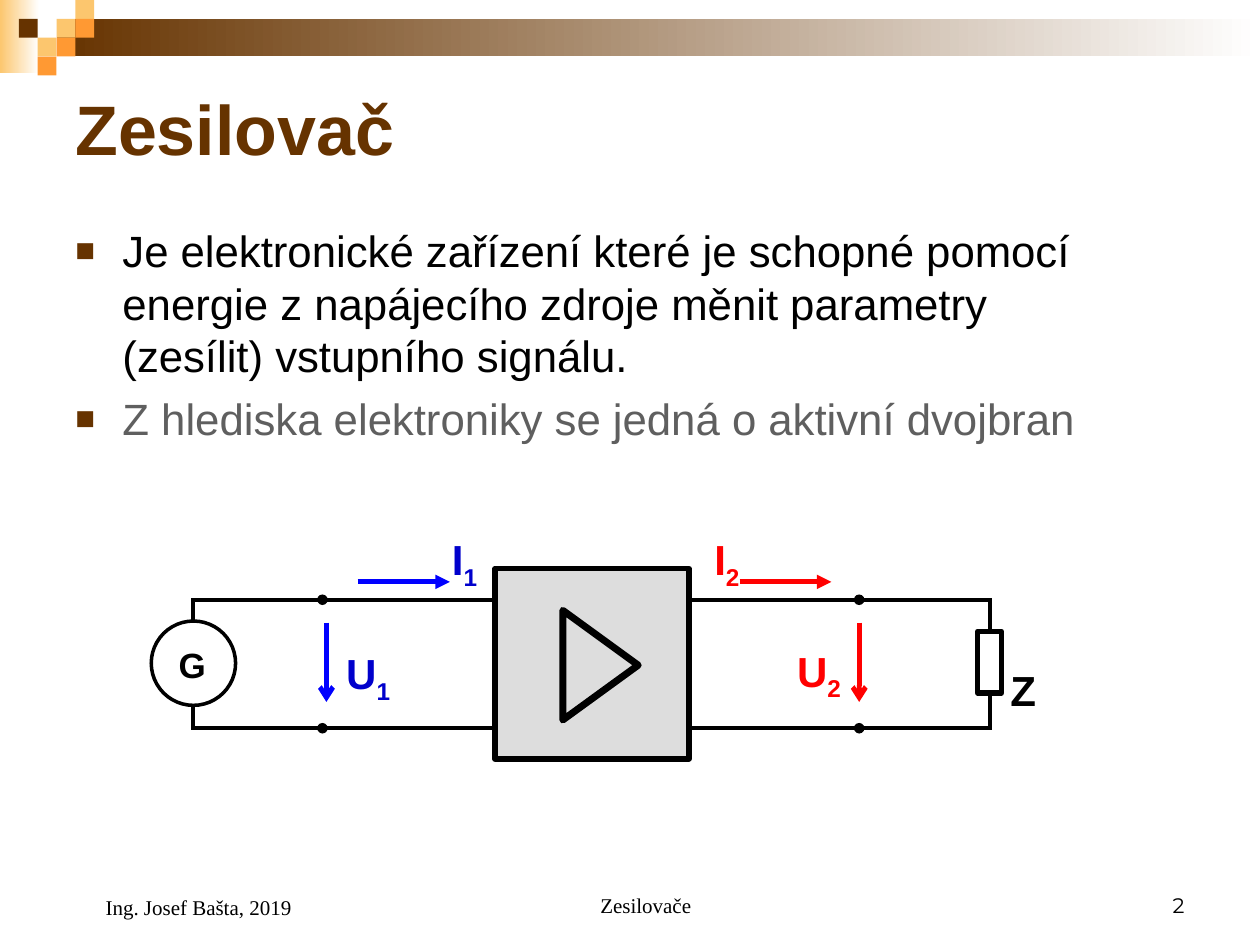
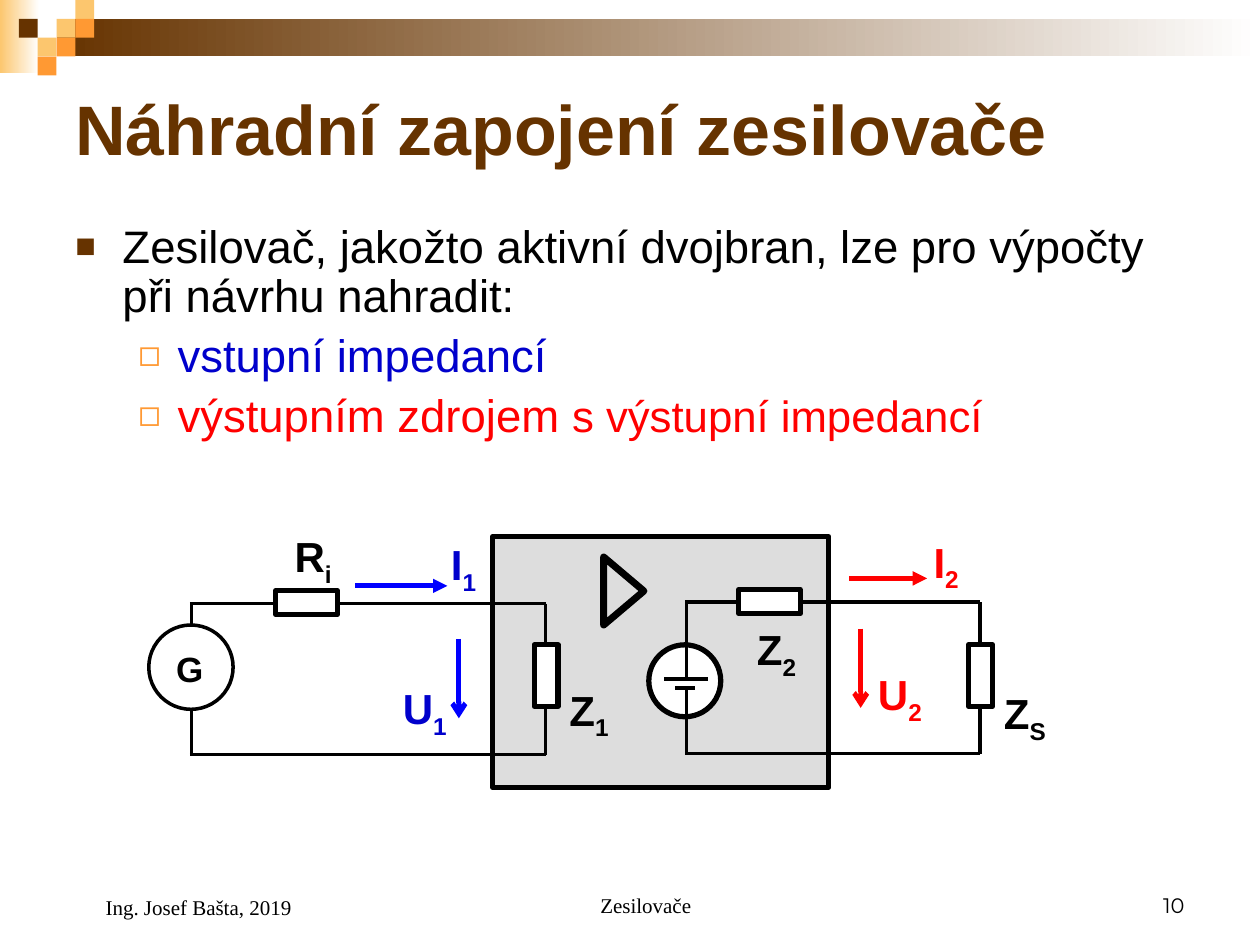
from lxml import etree
from pptx import Presentation
from pptx import util as u
from pptx.dml.color import RGBColor
from pptx.enum import shapes, text
from pptx.oxml import ns

BROWN, ORANGE, SAND = "663300", "FF9933", "FCC66E"
BLACK, WHITE, GREY, BLOCK_GREY = "000000", "FFFFFF", "5F5F5F", "DDDDDD"
BLUE, LABEL_BLUE, RED = "0000FF", "0000CC", "FF0000"

TITLE = {"name": "Arial", "size": u.Pt(40), "bold": True}
BODY = {"name": "Arial", "size": u.Pt(25)}
BODY_LARGE = {"name": "Arial", "size": u.Pt(26)}
LABEL = {"name": "Arial", "size": u.Pt(24), "bold": True}
GENERATOR = {"name": "Arial", "size": u.Pt(20), "bold": True}
FOOTER = {"name": "Times New Roman", "size": u.Pt(12)}
NUMBER = {"name": "Montserrat", "size": u.Pt(12)}

# margin and hanging indent in cm, bullet character, colour and size in percent
BULLETS = [(0.95, -0.95, "■", BROWN, 75), (2.06, -0.79, "◻", ORANGE, 80)]

SHAPE = shapes.MSO_SHAPE
ANCHOR = text.MSO_ANCHOR
ALIGN = text.PP_ALIGN


def rgb(color):
    return RGBColor.from_string(color)


def add_element(parent, tag, **attributes):
    element = etree.SubElement(parent, ns.qn(tag))
    for name, value in attributes.items():
        element.set(name, str(value))
    return element


class Deck:
    """Holds the presentation, its style and the slide being drawn."""

    def __init__(self):
        self.presentation = Presentation()
        self.presentation.slide_width = u.Cm(25.4)
        self.presentation.slide_height = u.Cm(19.05)
        self.slide = None

    def start_slide(self, title, number):
        layout = self.presentation.slide_layouts[6]
        self.slide = self.presentation.slides.add_slide(layout)
        self.banner()
        self.textbox(1.27, 1.27, 22.86, 2.62, title, TITLE, BROWN, ANCHOR.MIDDLE)
        footers = [
            (8.69, 8.05, 1.27, "Zesilovače", FOOTER, ALIGN.CENTER, 0.61),
            (18.21, 5.92, 1.27, number, NUMBER, ALIGN.RIGHT, 0),
            (1.27, 5.92, 1.32, "Ing. Josef Bašta, 2019", FOOTER, ALIGN.LEFT, 0.61),
        ]
        for left, width, height, words, style, align, margin in footers:
            paragraph = self.textbox(left, 17.35, width, height, words, style,
                                     BLACK, ANCHOR.BOTTOM)
            paragraph.alignment = align
            paragraph._p.get_or_add_pPr().set("marL", str(u.Cm(margin)))

    def banner(self):
        self.gradient(0, 0, 0.79, 1.47, SAND)
        self.gradient(1.14, 0.38, 24.26, 0.76, BROWN)
        cell = 0.38
        squares = [(3, 1, SAND), (4, 0, SAND), (4, 1, ORANGE), (2, 2, SAND),
                   (1, 1, BROWN), (3, 2, ORANGE), (2, 3, ORANGE)]
        for column, row, color in squares:
            self.shape(SHAPE.RECTANGLE, column * cell, row * cell, cell, cell, color)

    def shape(self, kind, left, top, width, height, fill=None, line=0, rotation=0):
        shape = self.slide.shapes.add_shape(
            kind, u.Cm(left), u.Cm(top), u.Cm(width), u.Cm(height))
        shape.shadow.inherit = False
        shape.rotation = rotation
        if fill:
            shape.fill.solid()
            shape.fill.fore_color.rgb = rgb(fill)
        else:
            shape.fill.background()
        if line:
            shape.line.color.rgb = rgb(BLACK)
            shape.line.width = u.Pt(line)
        else:
            shape.line.fill.background()
        return shape

    def gradient(self, left, top, width, height, color):
        """Rectangle fading from the colour on the left to white."""
        fill = self.shape(SHAPE.RECTANGLE, left, top, width, height).fill
        fill.gradient()
        fill.gradient_angle = 0
        for stop, stop_color in zip(fill.gradient_stops, (color, WHITE)):
            stop.color.rgb = rgb(stop_color)

    def run(self, paragraph, words, style, color, baseline=0):
        run = paragraph.add_run()
        run.text = words
        for name, value in style.items():
            setattr(run.font, name, value)
        run.font.color.rgb = rgb(color)
        if baseline:
            run._r.get_or_add_rPr().set("baseline", str(baseline))

    def frame(self, left, top, width, height, anchor=ANCHOR.TOP):
        box = self.slide.shapes.add_textbox(
            u.Cm(left), u.Cm(top), u.Cm(width), u.Cm(height))
        box.text_frame.word_wrap = True
        box.text_frame.vertical_anchor = anchor
        return box.text_frame

    def textbox(self, left, top, width, height, words, style, color,
                anchor=ANCHOR.TOP):
        paragraph = self.frame(left, top, width, height, anchor).paragraphs[0]
        self.run(paragraph, words, style, color)
        return paragraph

    def body(self, items, height, spacing=None):
        """Bulleted text; an item is a level, space before and runs (None breaks)."""
        frame = self.frame(1.27, 4.39, 22.86, height)
        for index, (level, before, runs) in enumerate(items):
            paragraph = frame.add_paragraph() if index else frame.paragraphs[0]
            self.bullet(paragraph, level)
            if index:
                paragraph.space_before = u.Pt(before)
            if spacing:
                paragraph.line_spacing = spacing
            for run in runs:
                if run:
                    self.run(paragraph, *run)
                else:
                    paragraph.add_line_break()

    def bullet(self, paragraph, level):
        margin, indent, character, color, size = BULLETS[level]
        paragraph.level = level
        properties = paragraph._p.get_or_add_pPr()
        properties.set("marL", str(u.Cm(margin)))
        properties.set("indent", str(u.Cm(indent)))
        add_element(add_element(properties, "a:buClr"), "a:srgbClr", val=color)
        add_element(properties, "a:buSzPct", val=size * 1000)
        add_element(properties, "a:buFont", typeface="Arial")
        add_element(properties, "a:buChar", char=character)

    def label(self, left, top, letter, index="", color=BLACK):
        paragraph = self.textbox(left, top, 1.6, 1.42, letter, LABEL, color)
        if index:
            self.run(paragraph, index, LABEL, color, -25000)

    def wire(self, x1, y1, x2, y2, color=BLACK, width=2, end=None):
        connector = self.slide.shapes.add_connector(
            shapes.MSO_CONNECTOR.STRAIGHT, u.Cm(x1), u.Cm(y1), u.Cm(x2), u.Cm(y2))
        connector.line.color.rgb = rgb(color)
        connector.line.width = u.Pt(width)
        if end:
            add_element(connector.line._get_or_add_ln(), "a:tailEnd", type=end)
        add_element(connector._element.spPr, "a:effectLst")

    def voltage(self, x, y, color):
        self.wire(x, y, x, y + 1.6, color, 2.75, "arrow")

    def current(self, x1, x2, y, color):
        self.wire(x1, y, x2, y, color, 2.75, "triangle")

    def resistor(self, left, top, rotation=0):
        self.shape(SHAPE.RECTANGLE, left, top, 0.48, 1.24, WHITE, 3, rotation)

    def generator(self, left, top):
        self.shape(SHAPE.OVAL, left, top, 1.7, 1.7, WHITE, 2)
        self.textbox(left + 0.3, top + 0.33, 1.19, 1.12, "G", GENERATOR, BLACK)

    def amplifier_symbol(self, left, top, width, height):
        self.shape(SHAPE.ISOSCELES_TRIANGLE, left, top, width, height, None, 4, 90)


def draw_amplifier(deck):
    deck.start_slide("Zesilovač", "2")
    deck.body([
        (0, 0, [("Je elektronické zařízení které je schopné pomocí energie "
                 "z napájecího zdroje měnit parametry", BODY, BLACK),
                None,
                ("(zesílit) vstupního signálu.", BODY, BLACK)]),
        (0, 6.2, [("Z hlediska elektroniky se jedná o aktivní dvojbran", BODY, GREY)]),
    ], 5.08)

    top, bottom = 12.09, 14.68
    source_x, input_x, output_x, load_x = 3.89, 6.5, 17.32, 19.96
    deck.shape(SHAPE.RECTANGLE, 9.98, 11.46, 3.91, 3.84, BLOCK_GREY, 3)
    for y in (top, bottom):
        deck.wire(9.96, y, input_x, y, end="oval")
        deck.wire(13.87, y, output_x, y, end="oval")
        deck.wire(source_x - 0.03, y, input_x, y)
        deck.wire(output_x, y, load_x + 0.03, y)
    for x in (source_x, load_x):
        deck.wire(x, top, x, bottom)

    deck.voltage(6.58, 12.55, BLUE)
    deck.voltage(output_x, 12.55, RED)
    deck.current(7.21, 9.07, 11.73, BLUE)
    deck.current(14.91, 16.76, 11.73, RED)
    deck.amplifier_symbol(11, 12.65, 2.21, 1.52)
    deck.generator(3.05, 12.52)
    deck.resistor(19.71, 12.73)
    for label in [(6.73, 12.93, "U", "1", LABEL_BLUE), (15.82, 12.88, "U", "2", RED),
                  (8.86, 10.64, "I", "1", LABEL_BLUE), (14.15, 10.64, "I", "2", RED),
                  (20.12, 13.28, "Z")]:
        deck.label(*label)


def draw_equivalent_circuit(deck):
    deck.start_slide("Náhradní zapojení zesilovače", "10")
    deck.body([
        (0, 0, [("Zesilovač, jakožto aktivní dvojbran, lze pro výpočty "
                 "při návrhu nahradit:", BODY_LARGE, BLACK)]),
        (1, 6.5, [("vstupní impedancí", BODY_LARGE, LABEL_BLUE)]),
        (1, 6.2, [("výstupním zdrojem", BODY_LARGE, RED),
                  (" s výstupní impedancí", BODY, RED)]),
    ], 4.88, 0.9)
    deck.shape(SHAPE.RECTANGLE, 9.93, 10.82, 6.78, 5.05, BLOCK_GREY, 3)
    deck.amplifier_symbol(11.89, 11.51, 1.37, 0.81)

    # Input loop
    left, right, top, bottom = 3.86, 11, 12.17, 15.21
    for y in (top, bottom):
        deck.wire(left - 0.03, y, right, y)
    for x in (left, right):
        deck.wire(x, top, x, bottom)
    deck.generator(3, 12.6)
    deck.resistor(10.77, 13)
    deck.resistor(5.94, 11.53, 90)
    deck.voltage(9.25, 12.88, BLUE)
    deck.current(7.16, 9.02, 11.81, BLUE)

    # Output loop
    left, right, top, bottom = 13.84, 19.76, 12.14, 15.19
    for y in (top, bottom):
        deck.wire(left - 0.03, y, right, y)
    deck.wire(right, top, right, bottom)
    deck.shape(SHAPE.OVAL, 13.08, 13, 1.45, 1.45, WHITE, 3)
    deck.wire(left, top, left, 13.69)
    deck.wire(left, 13.9, left, bottom)
    deck.wire(13.39, 13.69, 14.27, 13.69)
    deck.wire(13.61, 13.87, 14.02, 13.87)
    deck.resistor(19.53, 13)
    deck.resistor(15.27, 11.51, 90)
    deck.voltage(17.35, 12.67, RED)
    deck.current(17.12, 18.69, 11.66, RED)

    for label in [(7.87, 13.64, "U", "1", LABEL_BLUE), (17.45, 13.36, "U", "2", RED),
                  (8.84, 10.74, "I", "1", LABEL_BLUE), (18.57, 10.69, "I", "2", RED),
                  (5.69, 10.57, "R", "i"), (11.23, 13.67, "Z", "1"),
                  (15.01, 12.45, "Z", "2"), (19.99, 13.74, "Z", "S")]:
        deck.label(*label)


def main():
    deck = Deck()
    draw_amplifier(deck)
    draw_equivalent_circuit(deck)
    deck.presentation.save("out.pptx")


if __name__ == "__main__":
    main()
